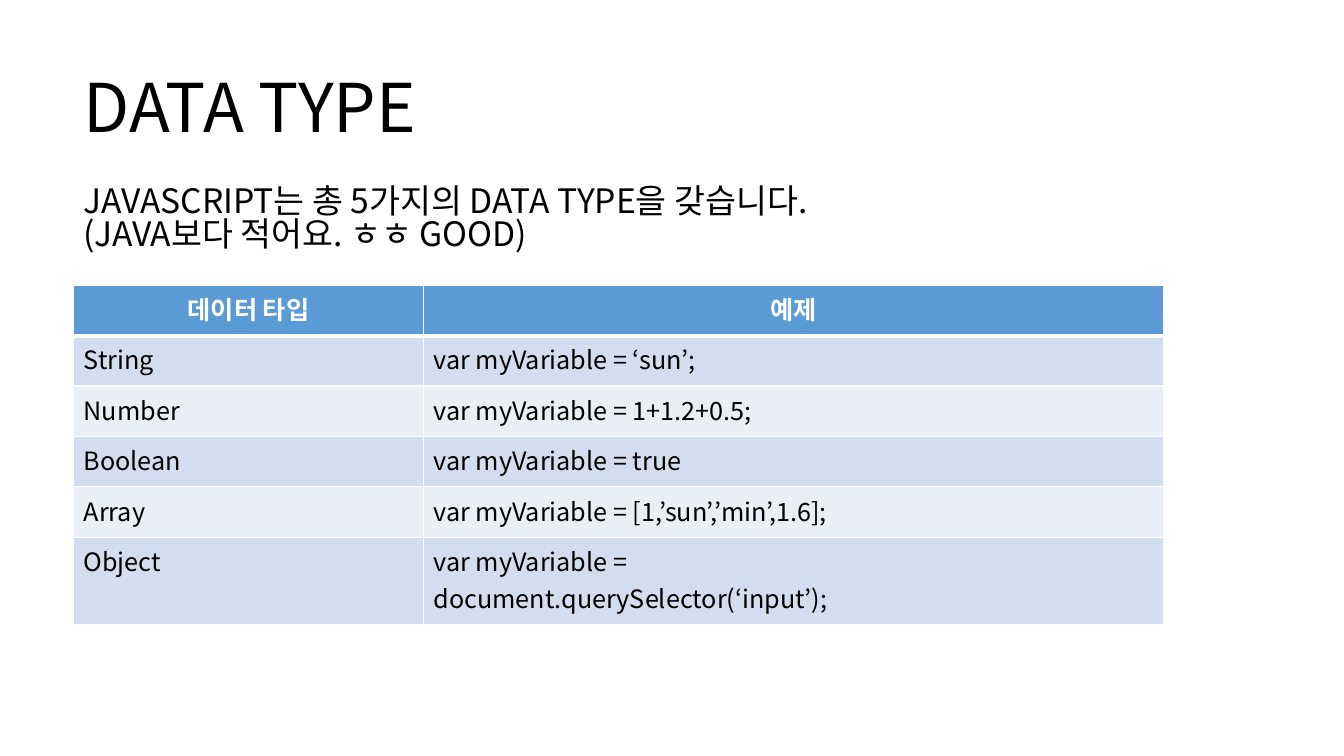
from lxml import etree
from pptx import Presentation
from pptx.dml.color import RGBColor
from pptx.enum.text import MSO_ANCHOR, PP_ALIGN
from pptx.oxml.ns import qn
from pptx.util import Inches, Pt

MIDDLE, LEFT, CENTER = MSO_ANCHOR.MIDDLE, PP_ALIGN.LEFT, PP_ALIGN.CENTER
FONT = "Noto Sans CJK KR"
BLACK = RGBColor(0x00, 0x00, 0x00)
WHITE = RGBColor(0xFF, 0xFF, 0xFF)
HEADER_BLUE = RGBColor(0x5B, 0x9B, 0xD5)
BANDS = [RGBColor(0xEA, 0xEF, 0xF7), RGBColor(0xD2, 0xDE, 0xEF)]

MARGIN = 0.73
COLS = [3.47, 7.34]
ROWS = [0.5] * 5 + [0.87]

TEXTS = [  # top, width, size, line spacing, lines
    (0.64, 6.22, 48, 0.9, ["DATA TYPE"]),
    (1.73, sum(COLS), 24, 0.82,
     ["JAVASCRIPT는 총 5가지의 DATA TYPE을 갖습니다.",
      "(JAVA보다 적어요. ㅎㅎ GOOD)"]),
]
DATA_TYPES = [
    ("데이터 타입", ["예제"]),
    ("String", ["var myVariable = ‘sun’;"]),
    ("Number", ["var myVariable = 1+1.2+0.5;"]),
    ("Boolean", ["var myVariable = true"]),
    ("Array", ["var myVariable = [1,’sun’,’min’,1.6];"]),
    ("Object", ["var myVariable =", "document.querySelector(‘input’);"]),
]


def write(tf, lines, size, color=BLACK, bold=False, align=LEFT, spacing=None):
    """Fill a text frame with one paragraph per line."""
    for i, line in enumerate(lines):
        p = tf.add_paragraph() if i else tf.paragraphs[0]
        p.alignment = align
        p.line_spacing = spacing
        r = p.add_run()
        r.text = line
        r.font.name, r.font.size, r.font.bold = FONT, Pt(size), bold
        r.font.color.rgb = color
        east_asian = etree.SubElement(r.font._element, qn("a:ea"))
        east_asian.set("typeface", FONT)


def add_border(cell, index, side, width):
    """Draw one white cell edge; edges come before the fill, in order."""
    ln = etree.Element(qn("a:ln" + side), w=str(Pt(width)))
    fill = etree.SubElement(ln, qn("a:solidFill"))
    etree.SubElement(fill, qn("a:srgbClr"), val=str(WHITE))
    cell._tc.get_or_add_tcPr().insert(index, ln)


prs = Presentation()
prs.slide_width, prs.slide_height = Inches(13.33), Inches(7.5)
s = prs.slides.add_slide(prs.slide_layouts[6])

for top, width, size, spacing, lines in TEXTS:
    sp = s.shapes.add_textbox(Inches(MARGIN), Inches(top), Inches(width), Inches(0.91))
    tf = sp.text_frame
    tf.word_wrap = True
    tf.vertical_anchor = MIDDLE
    write(tf, lines, size, spacing=spacing)

table = s.shapes.add_table(len(ROWS), len(COLS), Inches(MARGIN), Inches(2.83),
                           Inches(sum(COLS)), Inches(sum(ROWS))).table
for column, width in zip(table.columns, COLS):
    column.width = Inches(width)

for i, (name, example) in enumerate(DATA_TYPES):
    table.rows[i].height = Inches(ROWS[i])
    header = i == 0
    for cell, lines in zip(table.rows[i].cells, ([name], example)):
        cell.fill.solid()
        cell.fill.fore_color.rgb = HEADER_BLUE if header else BANDS[i % 2]
        write(cell.text_frame, lines, 18, WHITE if header else BLACK,
              header, CENTER if header else LEFT)
        edges = {"L": 1, "R": 1, "T": 3 if i == 1 else 1, "B": 3 if header else 1}
        for index, (side, width) in enumerate(edges.items()):
            add_border(cell, index, side, width)

prs.save("out.pptx")
